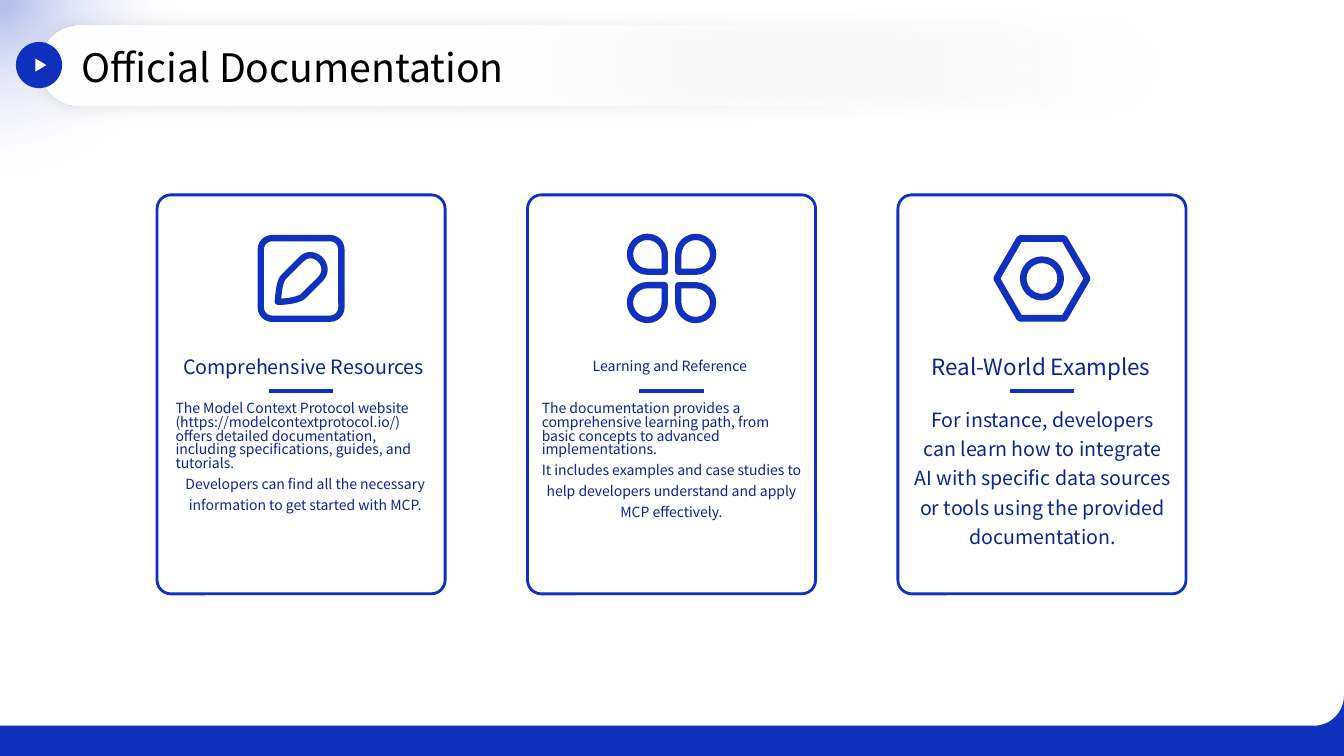
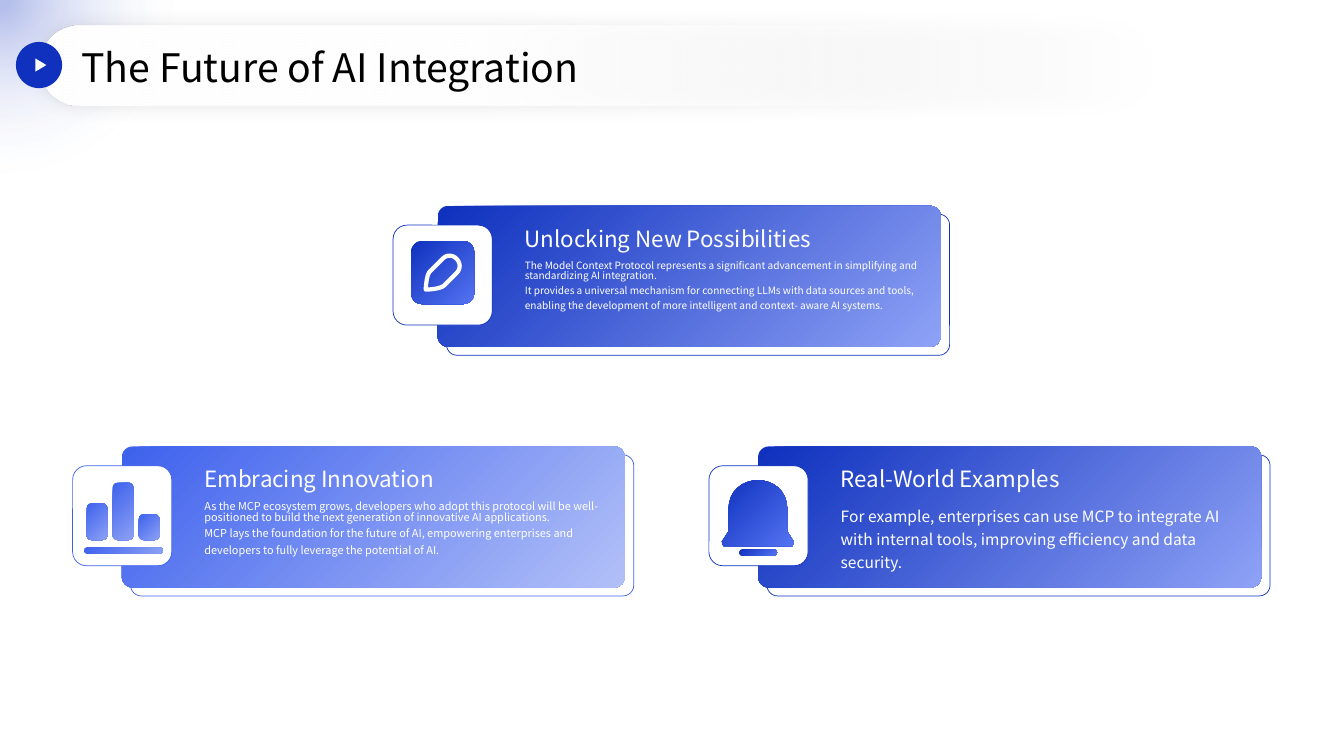
from pptx import Presentation
from pptx.dml.color import RGBColor
from pptx.enum.shapes import MSO_CONNECTOR, MSO_SHAPE
from pptx.enum.text import MSO_ANCHOR, PP_ALIGN
from pptx.oxml import parse_xml
from pptx.oxml.ns import nsdecls, qn
from pptx.util import Inches, Pt
from lxml.etree import SubElement

COLUMNS, ROWS = 160, 90
CELL = Inches(40 / 3) / COLUMNS
FONT = "Noto Sans CJK SC"
COLORS = {
    "blue": "0F31BE",
    "navy": "0B258F",
    "bright": "3F62ED",
    "periwinkle": "8EA2F6",
    "lavender": "B2C0F8",
    "sky": "5574F2",
    "mist": "8CA1F4",
    "white": "FFFFFF",
    "black": "000000",
}
PENCIL = [
    (.23, .77), (.24, .66, .25, .53, .30, .48), (.50, .28),
    (.65, .13, .87, .36, .72, .51), (.53, .70), (.48, .75, .33, .77, .23, .77),
]
BELL = [
    (.10, .70), (.10, .40), (.10, -.13, .90, -.13, .90, .40),
    (.90, .70), (.99, .84), (.97, .90), (.03, .90), (.01, .84),
]
FLOOR = [
    (0, 90), (160, 90), (160, 82.8), (160, 84.8, 158.4, 86.4, 156.4, 86.4), (0, 86.4),
]


def grid(*cells):
    return [round(cell * CELL) for cell in cells]


def rgb(name):
    return RGBColor.from_string(COLORS[name])


def set_gradient(shape, stops, angle=None):
    shape.fill.background()
    stop_xml = "".join(
        f'<a:gs pos="{position * 1000}"><a:srgbClr val="{COLORS[name]}">'
        f'<a:alpha val="{alpha * 1000}"/></a:srgbClr></a:gs>'
        for position, name, alpha in stops
    )
    if angle is None:
        direction = ('<a:path path="circle"><a:fillToRect l="50000" t="50000" '
                     'r="50000" b="50000"/></a:path>')
    else:
        direction = f'<a:lin ang="{angle * 60000}" scaled="0"/>'
    properties = shape.element.spPr
    properties.replace(properties.find(qn("a:noFill")), parse_xml(
        f'<a:gradFill {nsdecls("a")} rotWithShape="1"><a:gsLst>{stop_xml}</a:gsLst>'
        f'{direction}</a:gradFill>'))


def set_format(shape, fill=None, line=None, weight=1, gradient=None):
    shape.shadow.inherit = False
    if gradient:
        start, end = gradient
        set_gradient(shape, [(1, start, 100), (100, end, 100)], 45)
    elif fill:
        shape.fill.solid()
        shape.fill.fore_color.rgb = rgb(fill)
    else:
        shape.fill.background()
    if line:
        shape.line.color.rgb = rgb(line)
        shape.line.width = Pt(weight)
    else:
        shape.line.fill.background()
    return shape


def add_box(slide, kind, box, adjust=None, turn=0, **look):
    shape = slide.shapes.add_shape(kind, *grid(*box))
    if adjust is not None:
        shape.adjustments[0] = adjust
    shape.rotation = turn
    return set_format(shape, **look)


def add_rounded(slide, box, adjust, **look):
    return add_box(slide, MSO_SHAPE.ROUNDED_RECTANGLE, box, adjust, **look)


def add_outline(slide, segments, left=0, top=0, size=1, **look):
    points = []
    for *controls, x, y in segments:
        if controls:
            (x0, y0), (x1, y1, x2, y2) = points[-1], controls
            for step in range(1, 17):
                t = step / 16
                a, b, c, d = (1 - t) ** 3, 3 * t * (1 - t) ** 2, 3 * t * t * (1 - t), t ** 3
                points.append((a * x0 + b * x1 + c * x2 + d * x,
                               a * y0 + b * y1 + c * y2 + d * y))
        else:
            points.append((x, y))
    corners = [grid(left + x * size, top + y * size) for x, y in points]
    builder = slide.shapes.build_freeform(*corners[0], scale=1.0)
    builder.add_line_segments(corners[1:], close=True)
    return set_format(builder.convert_to_shape(), **look)


def add_rule(slide, left, right, row, color, weight):
    rule = slide.shapes.add_connector(
        MSO_CONNECTOR.STRAIGHT, *grid(left, row, right, row))
    rule.line.color.rgb = rgb(color)
    rule.line.width = Pt(weight)
    SubElement(rule.element.spPr, qn("a:effectLst"))


def add_text(slide, text, box, *, size, color, align=PP_ALIGN.LEFT, spacing=1.24,
             lead_spacing=.82, anchor=MSO_ANCHOR.TOP, insets=(0, 0)):
    frame = slide.shapes.add_textbox(*grid(*box)).text_frame
    frame.word_wrap = True
    frame.vertical_anchor = anchor
    frame.margin_left = frame.margin_right = Inches(insets[0])
    frame.margin_top = frame.margin_bottom = Inches(insets[1])
    lines = text.split("\n")
    for index, line in enumerate(lines):
        paragraph = frame.paragraphs[0] if index == 0 else frame.add_paragraph()
        is_lead = index < len(lines) - 1
        paragraph.alignment = PP_ALIGN.LEFT if is_lead else align
        paragraph.line_spacing = lead_spacing if is_lead else spacing
        run = paragraph.add_run()
        run.text = line
        run.font.name = FONT
        run.font.size = Pt(size)
        run.font.color.rgb = rgb(color)


def add_header(slide, title):
    glow = add_box(slide, MSO_SHAPE.OVAL, (-21.6, -21.6, 43.2, 43.2))
    set_gradient(glow, [(4, "blue", 30), (72, "white", 0)])
    band = add_rounded(slide, (4.7, 3, 133, 9.5), .5)
    set_gradient(band, [(0, "white", 0), (60, "white", 100)], 180)
    effects = band.element.spPr.find(qn("a:effectLst"))
    effects.append(parse_xml(
        f'<a:outerShdw {nsdecls("a")} blurRad="{Pt(13)}" dist="0" dir="0" algn="ctr" '
        f'rotWithShape="0"><a:srgbClr val="{COLORS["black"]}"><a:alpha val="10000"/>'
        f'</a:srgbClr></a:outerShdw>'))
    add_text(slide, title, (9.7, 4.9, 98, 5.6), size=28, color="black",
             spacing=1.1, anchor=MSO_ANCHOR.MIDDLE)
    add_box(slide, MSO_SHAPE.OVAL, (1.9, 5, 5.5, 5.5), fill="blue")
    add_box(slide, MSO_SHAPE.ISOSCELES_TRIANGLE, (4.1, 7.1, 1.55, 1.3), turn=90, fill="white")


def add_edit_icon(slide, center, middle):
    stroke = {"line": "blue", "weight": 4.5}
    add_rounded(slide, (center - 4.8, middle - 4.8, 9.6, 9.6), .14, **stroke)
    add_outline(slide, PENCIL, center - 5.15, middle - 5.15, 10.3, **stroke)


def add_clover_icon(slide, center, middle):
    petal, gap = 4.15, .8
    near, far = gap, -gap - petal
    for quarter, (x, y) in enumerate([(far, near), (far, far), (near, far), (near, near)]):
        add_box(slide, MSO_SHAPE.TEAR, (center + x, middle + y, petal, petal),
                turn=90 * quarter, line="blue", weight=4.5)


def add_nut_icon(slide, center, middle):
    stroke = {"line": "blue", "weight": 4.75}
    add_box(slide, MSO_SHAPE.HEXAGON, (center - 5.4, middle - 4.75, 10.8, 9.5), .29, **stroke)
    add_box(slide, MSO_SHAPE.OVAL, (center - 2.23, middle - 2.23, 4.46, 4.46), **stroke)


def add_pencil_tile(slide, left, top):
    left, top, size = left + 2.15, top + 1.9, 7.5
    add_rounded(slide, (left, top, size, size), .17, gradient=("blue", "sky"))
    add_outline(slide, PENCIL, left, top, size, line="white", weight=3)


def add_bell_tile(slide, left, top):
    gradient = ("blue", "sky")
    add_outline(slide, BELL, left + 1.45, top + 1.7, 8.75, gradient=gradient)
    add_rounded(slide, (left + 3.6, top + 9.95, 4.5, .75), .5, gradient=gradient)


def add_bars_tile(slide, left, top):
    gradient = ("bright", "mist")
    for index, height in enumerate([4.4, 6.85, 3.1]):
        add_rounded(slide, (left + 1.65 + 3.1 * index, top + 8.85 - height, 2.5, height),
                    .25, gradient=gradient)
    add_rounded(slide, (left + 1.35, top + 9.7, 9.4, .75), .5, gradient=gradient)


def add_resource_card(slide, index, add_icon, inset, heading, heading_size, body, body_size):
    width = 34.3
    left = 18.7 + 44.1 * index
    center = left + width / 2
    centered = {"color": "navy", "align": PP_ALIGN.CENTER}
    add_rounded(slide, (left, 23.2, width, 47.5), .048, fill="white", line="blue", weight=2)
    add_icon(slide, center, 33.15)
    add_rule(slide, center - 3.85, center + 3.85, 46.55, "blue", 3)
    add_text(slide, heading, (left + inset, 39.85, 30.5, 6.7), size=heading_size,
             spacing=1.3, anchor=MSO_ANCHOR.MIDDLE, **centered)
    add_text(slide, body, (left + inset, 47.9, 30.85, 20), size=body_size, **centered)


def add_future_card(slide, tile, panel, top, add_icon, start, end, heading, body, body_size):
    width, height = 59.9, 16.8
    tile_top = top + 2.3
    add_rounded(slide, (panel + 1.05, top + 1, width, height), .076,
                fill="white", line=start, weight=.5)
    add_rounded(slide, (panel, top, width, height), .076, gradient=(start, end))
    add_rounded(slide, (tile, tile_top, 11.8, 11.9), .14, fill="white", line=start, weight=.5)
    add_icon(slide, tile, tile_top)
    white_text = {"color": "white", "insets": (.1, .05)}
    add_text(slide, heading, (tile + 14.5, top + 1.2, 49.6, 5.3), size=16,
             spacing=1.15, **white_text)
    add_text(slide, body, (tile + 14.5, top + 6.05, 49.6, 9.5), size=body_size, **white_text)


def build_documentation(slide):
    add_outline(slide, FLOOR, fill="blue")
    cards = [
        (add_edit_icon, 2.2, "Comprehensive Resources", 14.1,
         "The Model Context Protocol website (https://modelcontextprotocol.io/) offers "
         "detailed documentation, including specifications, guides, and tutorials.\n"
         "Developers can find all the necessary information to get started with MCP.", 10),
        (add_clover_icon, 1.7, "Learning and Reference", 10.1,
         "The documentation provides a comprehensive learning path, from basic concepts "
         "to advanced implementations.\nIt includes examples and case studies to help "
         "developers understand and apply MCP effectively.", 10),
        (add_nut_icon, 1.8, "Real-World Examples", 16,
         "For instance, developers can learn how to integrate AI with specific data "
         "sources or tools using the provided documentation.", 14),
    ]
    for index, card in enumerate(cards):
        add_resource_card(slide, index, *card)
    add_header(slide, "Official Documentation")


def build_future(slide):
    cards = [
        (46.8, 52.1, 24.5, add_pencil_tile, "blue", "periwinkle", "Unlocking New Possibilities",
         "The Model Context Protocol represents a significant advancement in simplifying "
         "and standardizing AI integration.\nIt provides a universal mechanism for "
         "connecting LLMs with data sources and tools, enabling the development of more "
         "intelligent and context- aware AI systems.", 7.2),
        (84.4, 90.25, 53.15, add_bell_tile, "blue", "periwinkle", "Real-World Examples",
         "For example, enterprises can use MCP to integrate AI with internal tools, "
         "improving efficiency and data security.", 11.1),
        (8.65, 14.5, 53.15, add_bars_tile, "bright", "lavender", "Embracing Innovation",
         "As the MCP ecosystem grows, developers who adopt this protocol will be well- "
         "positioned to build the next generation of innovative AI applications.\n"
         "MCP lays the foundation for the future of AI, empowering enterprises and "
         "developers to fully leverage the potential of AI.", 7.8),
    ]
    for card in cards:
        add_future_card(slide, *card)
    add_header(slide, "The Future of AI Integration")


def main():
    presentation = Presentation()
    presentation.slide_width, presentation.slide_height = grid(COLUMNS, ROWS)
    for build in (build_documentation, build_future):
        build(presentation.slides.add_slide(presentation.slide_layouts[6]))
    presentation.save("out.pptx")


if __name__ == "__main__":
    main()
